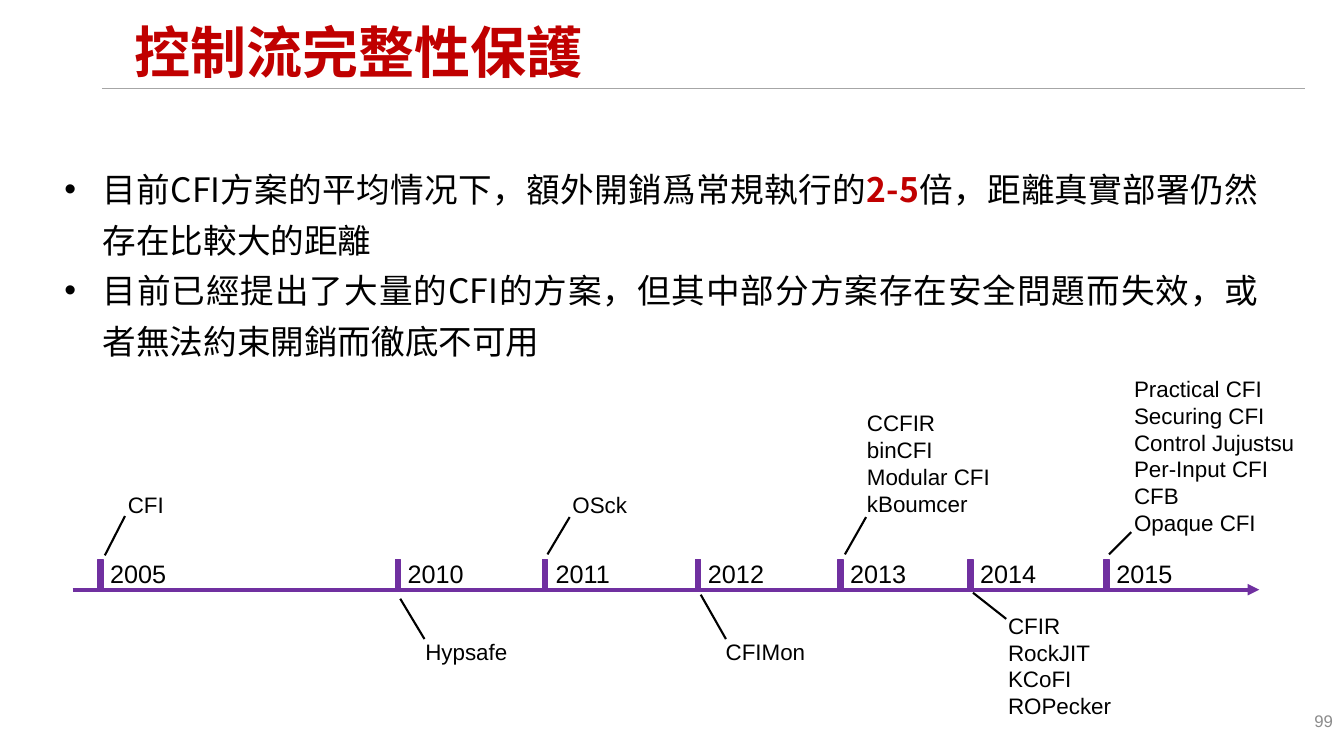
from lxml import etree
from pptx import Presentation
from pptx.dml.color import RGBColor
from pptx.enum.shapes import MSO_CONNECTOR, MSO_SHAPE
from pptx.enum.text import MSO_ANCHOR, PP_ALIGN
from pptx.oxml.ns import qn
from pptx.util import Pt

PX = 9144
STRAIGHT = MSO_CONNECTOR.STRAIGHT
RECT = MSO_SHAPE.RECTANGLE
MIDDLE, TOP = MSO_ANCHOR.MIDDLE, MSO_ANCHOR.TOP
LEFT, CENTER = PP_ALIGN.LEFT, PP_ALIGN.CENTER
RIGHT, JUSTIFY = PP_ALIGN.RIGHT, PP_ALIGN.JUSTIFY
LATIN, CJK = "Arial", "Noto Sans CJK SC"
COLORS = {"red": "C00000", "black": "000000", "purple": "7030A0",
          "rule": "A6A6A6", "number": "8C8C8C"}

TITLE = "控制流完整性保護"
BULLETS = [
    [("目前CFI方案的平均情况下，額外開銷爲常規執行的", False), ("2-5", True),
     ("倍，距離真實部署仍然存在比較大的距離", False)],
    [("目前已經提出了大量的CFI的方案，但其中部分方案存在安全問題而失效，"
      "或者無法約束開銷而徹底不可用", False)],
]
# Year, tick left, schemes, label (left, top, width), leader (from, to); relative to the timeline box.
MILESTONES = [
    ("2005", 25, ["CFI"], (45, 115, 80), (52, 145, 32, 184)),
    ("2010", 320, ["Hypsafe"], (340, 261, 116), (325, 227, 349, 267)),
    ("2011", 466, ["OSck"], (486, 115, 116), (493, 146, 471, 183)),
    ("2012", 618, ["CFIMon"], (638, 261, 116), (623, 223, 648, 267)),
    ("2013", 759, ["CCFIR", "binCFI", "Modular CFI", "kBoumcer"],
     (778, 34, 158), (787, 146, 766, 183)),
    ("2014", 888, ["CFIR", "RockJIT", "KCoFI", "ROPecker"],
     (918, 235, 145), (893, 221, 926, 247)),
    ("2015", 1023, ["Practical CFI", "Securing CFI", "Control Jujustsu",
                    "Per-Input CFI", "CFB", "Opaque CFI"],
     (1043, 0, 184), (1050, 161, 1028, 183)),
]


def color(name):
    """Return the named colour."""
    return RGBColor.from_string(COLORS[name])


def style(r, size, name, font=LATIN, bold=False):
    """Format one run, for Latin and East Asian letters alike."""
    r.font.size, r.font.name, r.font.bold = Pt(size), font, bold
    r.font.color.rgb = color(name)
    if font == CJK:
        ea = etree.SubElement(r.font._element, qn("a:ea"))
        ea.set("typeface", font)


def add_text(s, box, lines, size, name="black", align=LEFT, anchor=TOP, font=LATIN, bold=False):
    """Add a text box with one paragraph for each line."""
    tf = s.shapes.add_textbox(*(v * PX for v in box)).text_frame
    tf.word_wrap = True
    tf.vertical_anchor = anchor
    tf.text = "\n".join(lines)
    for p in tf.paragraphs:
        p.alignment = align
        style(p.runs[0], size, name, font, bold)
    return tf


def add_line(s, points, name, width, arrow=False):
    """Add a straight line, with an arrowhead at its end if asked."""
    line = s.shapes.add_connector(STRAIGHT, *(v * PX for v in points))
    line.line.color.rgb = color(name)
    line.line.width = Pt(width)
    if arrow:
        tail = etree.SubElement(line.line._get_or_add_ln(), qn("a:tailEnd"))
        tail.set("type", "triangle")
    etree.SubElement(line._element.spPr, qn("a:effectLst"))


def add_header(s, left, top, width, height):
    """Place the title and the rule below it."""
    add_line(s, (left, top + height, left + width, top + height), "rule", 1)
    tf = add_text(s, (left + 23, top, 1118, 79), [TITLE], 40, "red",
                  anchor=MIDDLE, font=CJK, bold=True)
    tf.paragraphs[0].line_spacing = 0.9


def add_bullets(s, left, top, width, height):
    """Place the bulleted statements."""
    tf = s.shapes.add_textbox(left * PX, top * PX, width * PX, height * PX).text_frame
    tf.word_wrap = True
    for i, parts in enumerate(BULLETS):
        p = tf.add_paragraph() if i else tf.paragraphs[0]
        pPr = p._p.get_or_add_pPr()
        pPr.set("marL", str(38 * PX))
        pPr.set("indent", str(-38 * PX))
        etree.SubElement(pPr, qn("a:buFont")).set("typeface", LATIN)
        etree.SubElement(pPr, qn("a:buChar")).set("char", "•")
        p.alignment = JUSTIFY
        p.line_spacing = Pt(36)
        for text, strong in parts:
            r = p.add_run()
            r.text = text
            style(r, 24, "red" if strong else "black", CJK, strong)


def add_timeline(s, left, top, width, axis):
    """Place the axis, its year ticks and the schemes of each year."""
    add_line(s, (left, top + axis, left + width, top + axis), "purple", 2.75, arrow=True)
    for year, x, schemes, (lx, ly, lw), (x1, y1, x2, y2) in MILESTONES:
        tick = s.shapes.add_shape(RECT, (left + x) * PX, (top + axis - 30) * PX, 5 * PX, 30 * PX)
        tick.shadow.inherit = False
        tick.fill.solid()
        tick.fill.fore_color.rgb = tick.line.color.rgb = color("purple")
        tick.line.width = Pt(1)
        add_text(s, (left + x, top + axis - 36, 80, 40), [year], 18, align=CENTER)
        add_text(s, (left + lx, top + ly, lw, 27 * len(schemes) + 10), schemes, 16)
        add_line(s, (left + x1, top + y1, left + x2, top + y2), "black", 1.5)


def add_number(s, left, top, width, height):
    """Place the slide number."""
    add_text(s, (left, top, width, height), ["99"], 12, "number", RIGHT, MIDDLE)


def main():
    """Build the slide and save it."""
    prs = Presentation()
    prs.slide_width, prs.slide_height = 1333 * PX, 750 * PX
    s = prs.slides.add_slide(prs.slide_layouts[6])
    add_header(s, 101, 15, 1193, 73)
    add_bullets(s, 54, 153, 1204, 207)
    add_timeline(s, 72, 367, 1177, 218)
    add_number(s, 1021, 695, 311, 40)
    prs.save("out.pptx")


if __name__ == "__main__":
    main()
